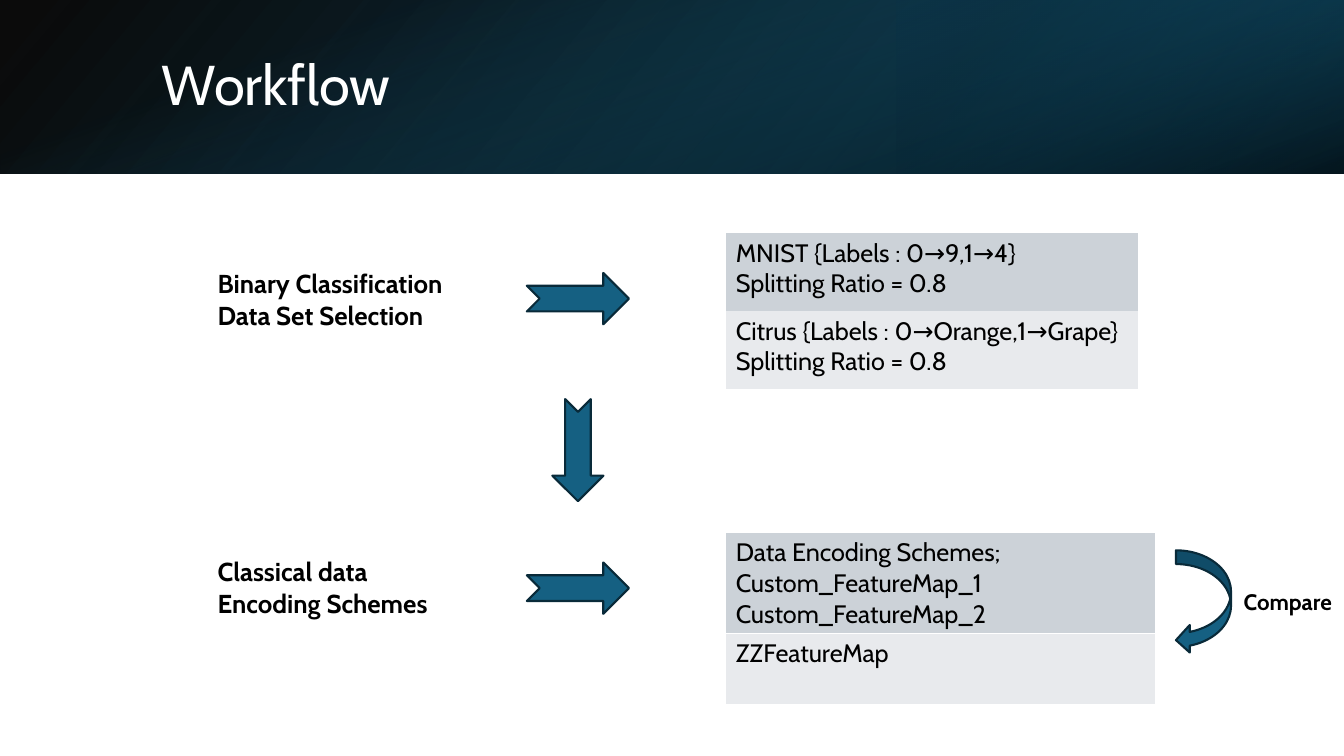
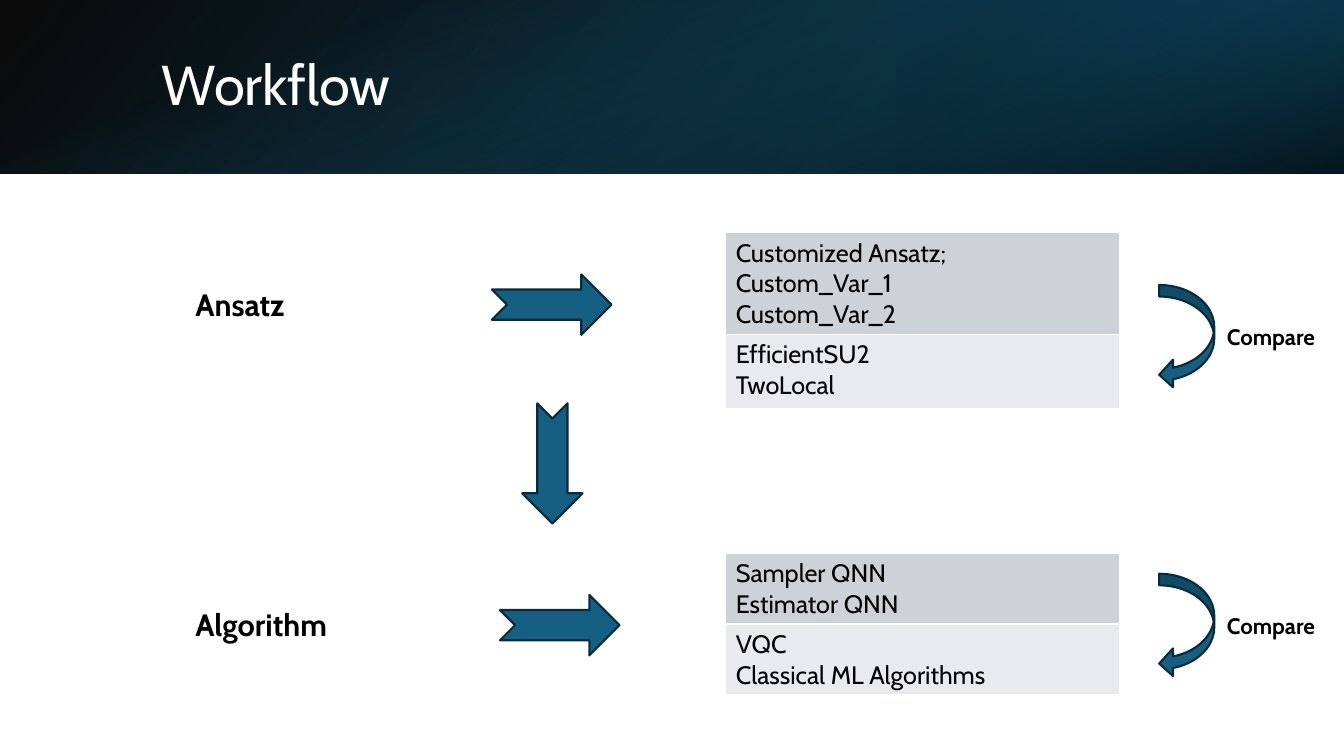
from lxml import etree
from pptx import Presentation
from pptx import util as u
from pptx.dml.color import RGBColor
from pptx.enum import shapes, text
from pptx.oxml import ns

SLIDE_WIDTH, SLIDE_HEIGHT = u.Inches(13.33), u.Inches(7.5)
FONT = "Cabin"
BLACK = RGBColor(0x00, 0x00, 0x00)
WHITE = RGBColor(0xFF, 0xFF, 0xFF)
TEAL = RGBColor(0x15, 0x60, 0x82)
TEAL_DEEP = RGBColor(0x10, 0x48, 0x62)
TEAL_DARK = RGBColor(0x0B, 0x30, 0x41)
OUTLINE = RGBColor(0x09, 0x2A, 0x39)
ROW_FILLS = (RGBColor(0xCC, 0xD2, 0xD8), RGBColor(0xE8, 0xEA, 0xED))
PLAIN_TABLE_STYLE = "{2D5ABB26-0587-4C30-8999-92F81FD0307C}"
BAND_HEIGHT = 23
TABLE_LEFT = 54
RECTANGLE = shapes.MSO_SHAPE.RECTANGLE
NOTCHED_ARROW = shapes.MSO_SHAPE.NOTCHED_RIGHT_ARROW
CURVED_ARROW = shapes.MSO_SHAPE.CURVED_LEFT_ARROW


def across(share):
    """Turn a percentage of the slide's width into a length."""
    return u.Emu(round(SLIDE_WIDTH * share / 100))


def down(share):
    """Turn a percentage of the slide's height into a length."""
    return u.Emu(round(SLIDE_HEIGHT * share / 100))


def to_box(left, top, width, height):
    """Turn percentages of the slide into a box of lengths."""
    return across(left), down(top), across(width), down(height)


def format_text(text_frame, size, color=BLACK, bold=False, space_after=0):
    """Give all the text in a frame one look."""
    for paragraph in text_frame.paragraphs:
        paragraph.alignment = text.PP_ALIGN.LEFT
        paragraph.space_after = u.Pt(space_after)
        for run in paragraph.runs:
            run.font.name = FONT
            run.font.size = u.Pt(size)
            run.font.bold = bold
            run.font.color.rgb = color


def add_turned_shape(slide, kind, area, rotation=0):
    """Add a shape that covers the area after its rotation."""
    left, top, width, height = to_box(*area)
    if rotation % 180 == 90:
        left, top = left + (width - height) // 2, top + (height - width) // 2
        width, height = height, width
    shape = slide.shapes.add_shape(kind, left, top, width, height)
    shape.rotation = rotation
    shape.shadow.inherit = False
    return shape


def add_gradient(slide, area, stops, angle, rotation=0, flipped=False):
    """Add a rectangle with stops of position, colour and opacity."""
    shape = add_turned_shape(slide, RECTANGLE, area, rotation)
    shape.line.fill.background()
    if flipped:
        shape._element.spPr.xfrm.set("flipH", "1")
    shape.fill.gradient()
    shape.fill.gradient_angle = 360 - angle
    for stop, (position, color, _) in zip(shape.fill.gradient_stops, stops):
        stop.position = position / 100
        stop.color.rgb = color
    colors = shape._element.spPr.iter(ns.qn("a:srgbClr"))
    for color, (_, _, opacity) in zip(colors, stops):
        etree.SubElement(color, ns.qn("a:alpha"), val=str(opacity * 1000))


def add_title_slide(presentation, title_text):
    """Add a slide with the gradient band and its title."""
    slide = presentation.slides.add_slide(presentation.slide_layouts[5])
    band = (0, 0, 100, BAND_HEIGHT)
    add_gradient(slide, band, [(0, BLACK, 96), (100, TEAL_DEEP, 100)], 140, flipped=True)
    add_gradient(slide, (66.7, 0, 33.3, BAND_HEIGHT),
                 [(19, TEAL_DARK, 68), (100, TEAL, 79)], 320, 180, True)
    add_gradient(slide, band, [(23, TEAL, 0), (99, BLACK, 74)], 340, 90)
    title = slide.shapes.title
    title.left, title.top, title.width, title.height = to_box(11.3, 5.1, 82.4, 12.8)
    title.text_frame.text = title_text
    title.text_frame.auto_size = text.MSO_AUTO_SIZE.NONE
    title.text_frame.vertical_anchor = text.MSO_ANCHOR.MIDDLE
    title.text_frame.paragraphs[0].line_spacing = 0.9
    format_text(title.text_frame, 40, WHITE)
    slide.shapes._spTree.append(title._element)
    return slide


def add_label(slide, area, words, size, space_after=6, wrap=True):
    """Add a bold label."""
    text_frame = slide.shapes.add_textbox(*to_box(*area)).text_frame
    text_frame.word_wrap = wrap
    text_frame.text = words
    format_text(text_frame, size, bold=True, space_after=space_after)


def add_arrow(slide, area, kind=NOTCHED_ARROW, rotation=0):
    """Add a filled and outlined block arrow."""
    arrow = add_turned_shape(slide, kind, area, rotation)
    arrow.fill.solid()
    arrow.fill.fore_color.rgb = TEAL
    arrow.line.color.rgb = OUTLINE
    arrow.line.width = u.Pt(1.5)
    return arrow


def add_compare(slide, left, top, thickness=0.25):
    """Add a curved arrow with its label on the right."""
    arrow = add_arrow(slide, (left, top, 4.1, 13.7), CURVED_ARROW)
    arrow.adjustments[0] = thickness
    add_label(slide, (left + 4.3, top + 4.4, 8.3, 5), "Compare", 16, 0, False)


def add_borders(cell):
    """Draw a thin white line on each side of a cell."""
    properties = cell._tc.get_or_add_tcPr()
    for side in ("lnL", "lnR", "lnT", "lnB"):
        line = etree.SubElement(properties, ns.qn(f"a:{side}"), w=str(u.Pt(1)))
        fill = etree.SubElement(line, ns.qn("a:solidFill"))
        etree.SubElement(fill, ns.qn("a:srgbClr"), val=str(WHITE))


def add_options(slide, top, width, rows, bordered=True):
    """Add a one-column table from pairs of row height and text."""
    total = sum(height for height, _ in rows)
    frame = slide.shapes.add_table(len(rows), 1, *to_box(TABLE_LEFT, top, width, total))
    table = frame.table
    table.first_row = table.horz_banding = False
    table._tbl.tblPr.find(ns.qn("a:tableStyleId")).text = PLAIN_TABLE_STYLE
    for index, (height, words) in enumerate(rows):
        table.rows[index].height = down(height)
        cell = table.cell(index, 0)
        if bordered:
            add_borders(cell)
        cell.fill.solid()
        cell.fill.fore_color.rgb = ROW_FILLS[index]
        cell.text_frame.text = words
        format_text(cell.text_frame, 18)


def add_data_slide(presentation):
    """Build the steps from data selection to encoding."""
    slide = add_title_slide(presentation, "Workflow")
    add_label(slide, (15.45, 34.8, 20.3, 9.6), "Binary Classification Data Set Selection", 18.5)
    add_label(slide, (15.45, 72.9, 20.3, 9.6), "Classical data Encoding Schemes", 18.5)
    for top in (36.1, 74.4):
        add_arrow(slide, (39.2, top, 7.6, 6.8))
    add_arrow(slide, (41.1, 52.8, 3.8, 13.5), rotation=90)
    add_options(slide, 30.8, 30.7, [
        (10.3, "MNIST {Labels : 0→9,1→4}\nSplitting Ratio = 0.8"),
        (10.3, "Citrus {Labels : 0→Orange,1→Grape}\nSplitting Ratio = 0.8"),
    ], bordered=False)
    add_options(slide, 70.4, 31.95, [
        (13.4, "Data Encoding Schemes;\nCustom_FeatureMap_1\nCustom_FeatureMap_2"),
        (9.4, "ZZFeatureMap"),
    ])
    add_compare(slide, 87.5, 72.8)


def add_model_slide(presentation):
    """Build the steps from ansatz to algorithm."""
    slide = add_title_slide(presentation, "Workflow")
    for top, words in ((37.2, "Ansatz"), (79.5, "Algorithm")):
        add_label(slide, (13.8, top, 12.2, 6.3), words, 22)
    for left, top in ((36.6, 36.3), (37.2, 78.7)):
        add_arrow(slide, (left, top, 8.9, 8))
    add_arrow(slide, (38.85, 53.35, 4.5, 15.9), rotation=90)
    add_options(slide, 30.8, 29.3, [
        (13.4, "Customized Ansatz;\nCustom_Var_1\nCustom_Var_2"),
        (9.9, "EfficientSU2\nTwoLocal"),
    ])
    add_options(slide, 73.2, 29.3, [
        (9.3, "Sampler QNN\nEstimator QNN"),
        (9.3, "VQC\nClassical ML Algorithms"),
    ])
    for top in (37.7, 75.9):
        add_compare(slide, 86.25, top, 0.21)


def main():
    """Build and save the presentation."""
    presentation = Presentation()
    presentation.slide_width, presentation.slide_height = SLIDE_WIDTH, SLIDE_HEIGHT
    add_data_slide(presentation)
    add_model_slide(presentation)
    presentation.save("out.pptx")


if __name__ == "__main__":
    main()
